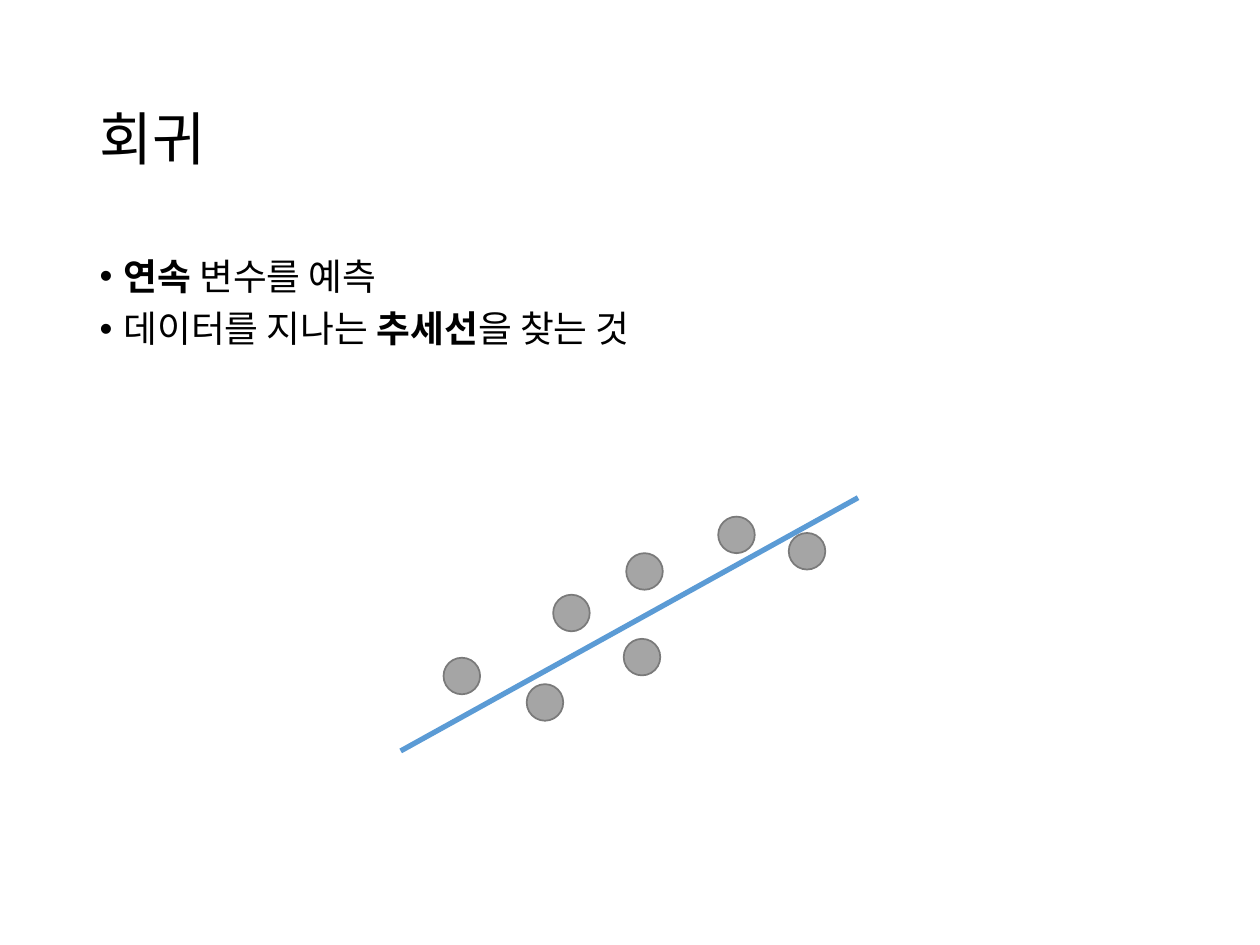
from lxml.etree import SubElement
from pptx import Presentation
from pptx.dml.color import RGBColor
from pptx.enum.shapes import MSO_CONNECTOR, MSO_SHAPE
from pptx.enum.text import MSO_ANCHOR, MSO_AUTO_SIZE, PP_ALIGN
from pptx.oxml.ns import qn
from pptx.util import Inches, Pt

FONT = "Noto Sans CJK KR"
TITLE = [[("회귀", False)]]
POINTS = [
    [("연속", True), (" 변수를 예측", False)],
    [("데이터를 지나는 ", False), ("추세선", True), ("을 찾는 것", False)],
]
DOT_SIZE = 0.29
DOTS = [(0.34, 1.27), (1, 1.48), (1.21, 0.77), (1.79, 0.44),
        (1.77, 1.12), (2.52, 0.15), (3.08, 0.28)]


def color(value):
    return RGBColor.from_string(value)


def place(shape, box):
    shape.left, shape.top, shape.width, shape.height = map(Inches, box)


def fill_placeholder(shape, box, paragraphs, size, anchor, space_before=0, indent=0):
    place(shape, box)
    frame = shape.text_frame
    frame.word_wrap = True
    frame.auto_size = MSO_AUTO_SIZE.NONE
    frame.vertical_anchor = anchor
    for index, runs in enumerate(paragraphs):
        paragraph = frame.add_paragraph() if index else frame.paragraphs[0]
        paragraph.alignment = PP_ALIGN.LEFT
        paragraph.line_spacing = 0.9
        paragraph.space_before = Pt(space_before)
        properties = paragraph._p.get_or_add_pPr()
        properties.set("marL", str(Inches(indent)))
        properties.set("indent", str(-Inches(indent)))
        for text, bold in runs:
            run = paragraph.add_run()
            run.text = text
            run.font.name = FONT
            run.font.size = Pt(size)
            run.font.bold = bold
            run.font.color.rgb = color("000000")
            SubElement(run._r.get_or_add_rPr(), qn("a:ea"), typeface=FONT)


def draw_regression(slide, box):
    left, top, width, height = box
    trend = slide.shapes.add_connector(
        MSO_CONNECTOR.STRAIGHT, Inches(left), Inches(top + height),
        Inches(left + width), Inches(top))
    trend.line.color.rgb = color("5B9BD5")
    trend.line.width = Pt(3)
    SubElement(trend._element.spPr, qn("a:effectLst"))
    for across, down in DOTS:
        dot = slide.shapes.add_shape(
            MSO_SHAPE.OVAL, Inches(left + across), Inches(top + down),
            Inches(DOT_SIZE), Inches(DOT_SIZE))
        dot.shadow.inherit = False
        dot.fill.solid()
        dot.fill.fore_color.rgb = color("A5A5A5")
        dot.line.color.rgb = color("7A7A7A")
        dot.line.width = Pt(1)


presentation = Presentation()
presentation.slide_width = Inches(10)
presentation.slide_height = Inches(7.5)
slide = presentation.slides.add_slide(presentation.slide_layouts[1])
fill_placeholder(slide.shapes.title, (0.69, 0.4, 8.62, 1.45), TITLE, 33, MSO_ANCHOR.MIDDLE)
draw_regression(slide, (3.18, 3.95, 3.63, 2.01))
fill_placeholder(slide.placeholders[1], (0.69, 2, 8.62, 4.76), POINTS, 21,
                 MSO_ANCHOR.TOP, space_before=7.5, indent=0.19)
presentation.save("out.pptx")
